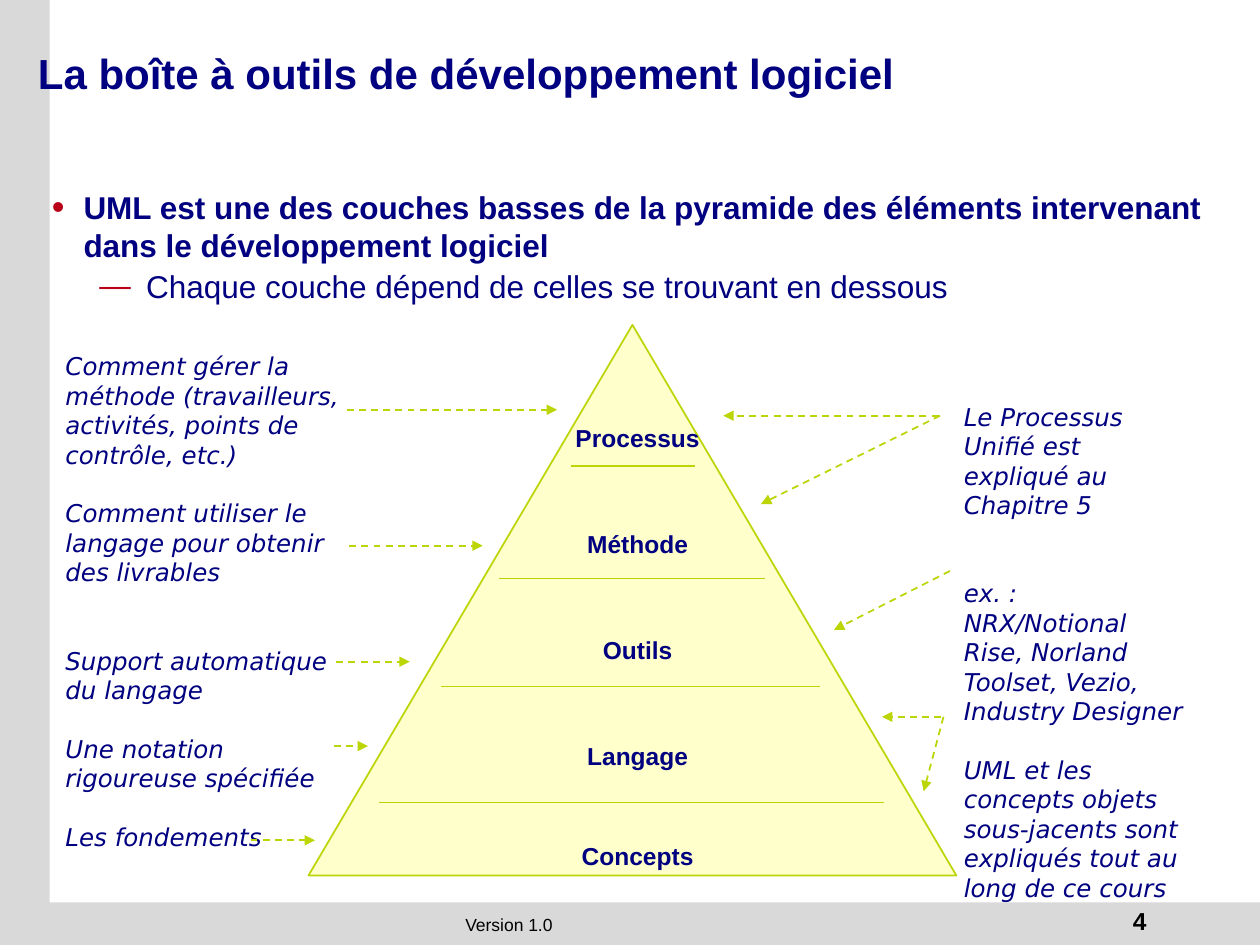
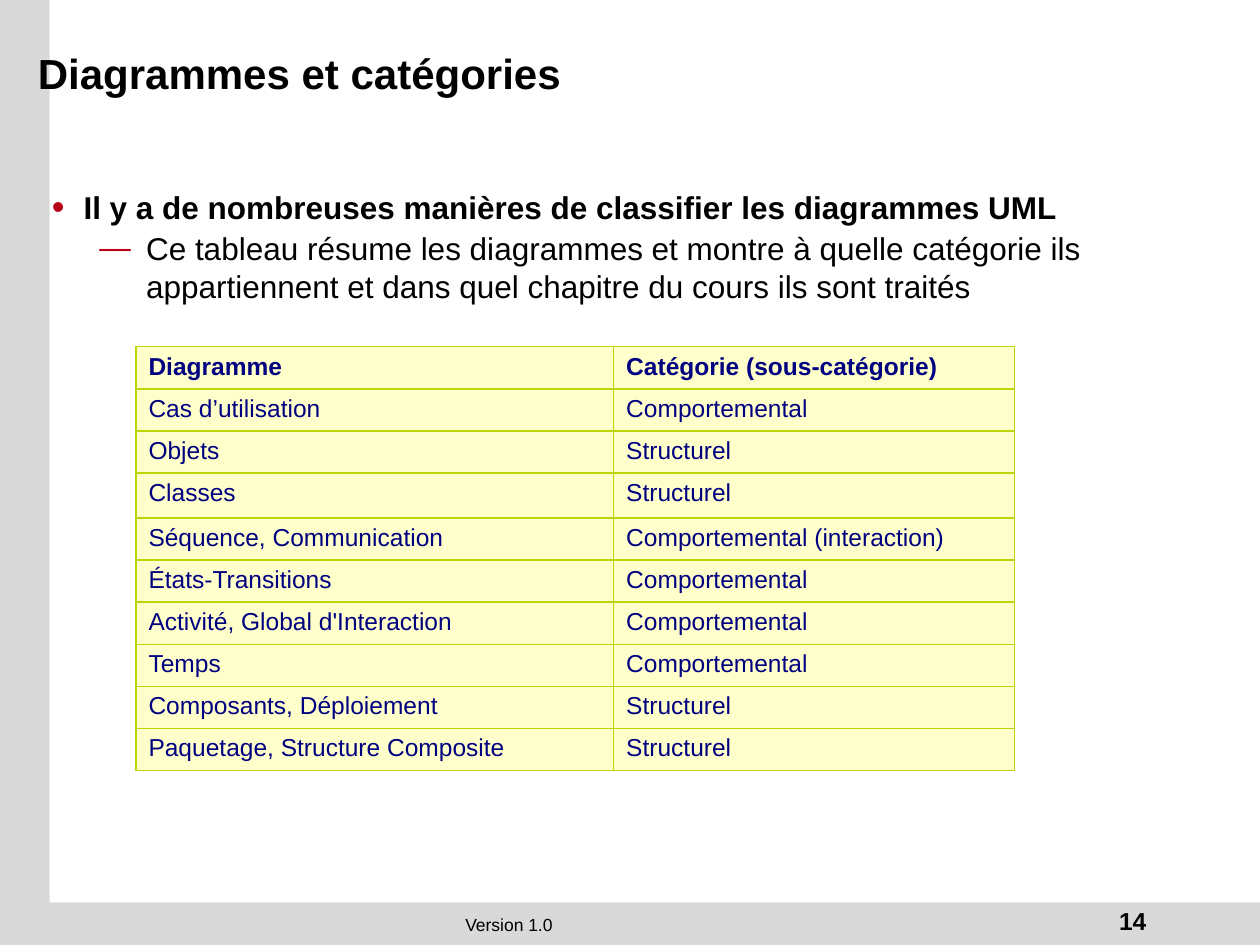
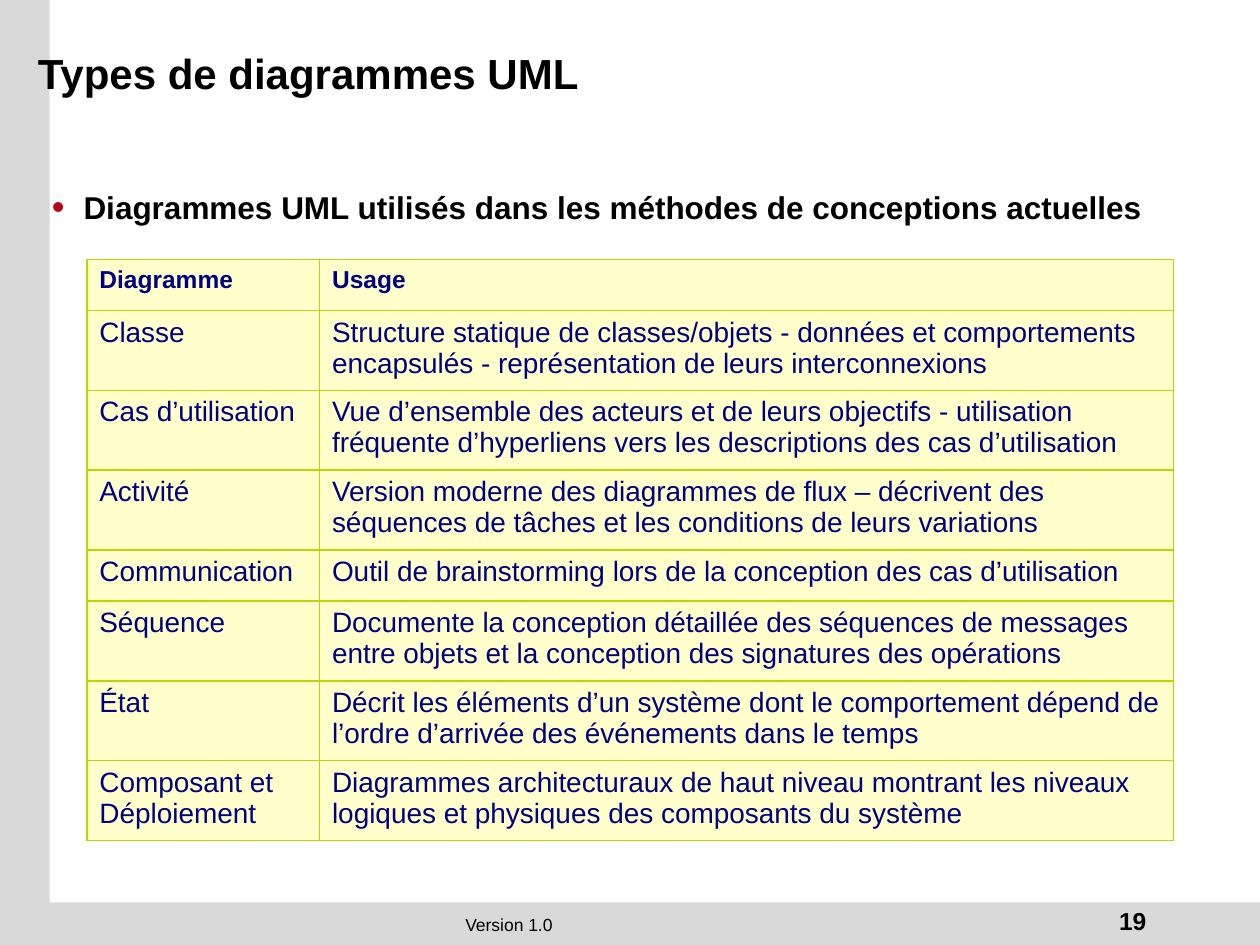
from dataclasses import dataclass
from typing import Sequence

from lxml import etree
from pptx import Presentation
from pptx.dml.color import RGBColor
from pptx.enum.dml import MSO_LINE
from pptx.enum.shapes import MSO_CONNECTOR, MSO_SHAPE
from pptx.enum.text import MSO_ANCHOR, MSO_AUTO_SIZE, PP_ALIGN
from pptx.oxml.ns import qn
from pptx.util import Cm, Pt

COLORS = {
    "band": "D9D9D9",
    "navy": "000080",
    "black": "000000",
    "bullet": "B90117",
    "cream": "FFFFCC",
    "lime": "BCD507",
}
SANS = "Arial"
NOTE_FONT = "DejaVu Sans"
SLIDE_W, SLIDE_H = 25.4, 19.05


# Descriptions of repeated elements; lengths are centimetres
@dataclass(frozen=True)
class Box:
    left: float
    top: float
    width: float
    height: float

    def emu(self) -> tuple:
        return Cm(self.left), Cm(self.top), Cm(self.width), Cm(self.height)


@dataclass(frozen=True)
class Segment:
    x1: float
    y1: float
    x2: float
    y2: float
    arrow: bool = False


@dataclass(frozen=True)
class Style:
    size: float
    color: str = "navy"
    font: str = SANS
    bold: bool = False
    italic: bool = False


@dataclass(frozen=True)
class Item:
    text: str
    gap: float = 0  # points before the paragraph


@dataclass(frozen=True)
class BulletLevel:
    char: str
    margin: float
    hanging: float
    gap: float
    scale: int
    bold: bool


LEVELS = (
    BulletLevel("•", 0.64, 0.64, 14, 115, True),
    BulletLevel("—", 1.9, 0.94, 2, 100, False),
)


# Text and shapes
def rgb(name: str) -> RGBColor:
    return RGBColor.from_string(COLORS[name])


def write(paragraph, text: str, style: Style) -> None:
    run = paragraph.add_run()
    run.text = text
    font = run.font
    font.name, font.size = style.font, Pt(style.size)
    font.bold, font.italic = style.bold, style.italic
    font.color.rgb = rgb(style.color)


def add_text(slide, box: Box, items: Sequence[Item], style: Style,
             align=PP_ALIGN.LEFT, spacing: float = 1.0):
    shape = slide.shapes.add_textbox(*box.emu())
    frame = shape.text_frame
    frame.word_wrap = True
    for i, item in enumerate(items):
        paragraph = frame.add_paragraph() if i else frame.paragraphs[0]
        paragraph.alignment = align
        paragraph.line_spacing = spacing
        paragraph.space_before = Pt(item.gap)
        write(paragraph, item.text, style)
    return shape


def add_filled(slide, kind, box: Box, fill: str, line: str = ""):
    shape = slide.shapes.add_shape(kind, *box.emu())
    shape.shadow.inherit = False
    shape.fill.solid()
    shape.fill.fore_color.rgb = rgb(fill)
    if line:
        shape.line.color.rgb = rgb(line)
        shape.line.width = Pt(1)
    else:
        shape.line.fill.background()
    return shape


def add_segment(slide, seg: Segment) -> None:
    connector = slide.shapes.add_connector(
        MSO_CONNECTOR.STRAIGHT, Cm(seg.x1), Cm(seg.y1), Cm(seg.x2), Cm(seg.y2))
    connector.line.color.rgb = rgb("lime")
    connector.line.width = Pt(1)
    properties = connector.element.spPr
    if seg.arrow:
        connector.line.dash_style = MSO_LINE.DASH
        etree.SubElement(properties.find(qn("a:ln")), qn("a:tailEnd"), type="triangle")
    etree.SubElement(properties, qn("a:effectLst"))


def set_bullet(paragraph, level: BulletLevel) -> None:
    paragraph.space_before = Pt(level.gap)
    props = paragraph._p.get_or_add_pPr()
    props.set("marL", str(Cm(level.margin)))
    props.set("indent", str(-Cm(level.hanging)))
    color = etree.SubElement(props, qn("a:buClr"))
    etree.SubElement(color, qn("a:srgbClr"), val=COLORS["bullet"])
    etree.SubElement(props, qn("a:buSzPct"), val=str(level.scale * 1000))
    etree.SubElement(props, qn("a:buFont"), typeface=SANS)
    etree.SubElement(props, qn("a:buChar"), char=level.char)


# Tables
def set_borders(cell) -> None:
    props = cell._tc.get_or_add_tcPr()
    for i, side in enumerate(("lnL", "lnR", "lnT", "lnB")):
        line = etree.Element(qn(f"a:{side}"), w=str(Pt(1)))
        fill = etree.SubElement(line, qn("a:solidFill"))
        etree.SubElement(fill, qn("a:srgbClr"), val=COLORS["lime"])
        props.insert(i, line)


def add_grid(slide, left: float, top: float, widths: Sequence[float],
             heights: Sequence[float], rows: Sequence[Sequence[str]],
             body_size: float) -> None:
    box = Box(left, top, sum(widths), sum(heights))
    table = slide.shapes.add_table(len(rows), len(widths), *box.emu()).table
    table.first_row = table.horz_banding = False
    for column, width in zip(table.columns, widths):
        column.width = Cm(width)
    for r, (row, height) in enumerate(zip(rows, heights)):
        table.rows[r].height = Cm(height)
        style = Style(body_size) if r else Style(14, bold=True)
        for c, text in enumerate(row):
            cell = table.cell(r, c)
            cell.fill.solid()
            cell.fill.fore_color.rgb = rgb("cream")
            set_borders(cell)
            write(cell.text_frame.paragraphs[0], text, style)


# Shared frame: bands and version go to the layout, the rest to each slide
def share_on_layout(layout, shapes: Sequence) -> None:
    tree = layout.element.cSld.spTree
    for i, shape in enumerate(shapes):
        shape.element.nvSpPr.cNvPr.set("id", str(101 + i))
        tree.insert(2 + i, shape.element)


def decorate_layout(slide, layout) -> None:
    share_on_layout(layout, [
        add_filled(slide, MSO_SHAPE.RECTANGLE, Box(0, 0, 1, SLIDE_H), "band"),
        add_filled(slide, MSO_SHAPE.RECTANGLE, Box(0, 18.19, SLIDE_W, 0.86), "band"),
        add_text(slide, Box(0.28, 18.31, 19.96, 0.69), [Item("Version 1.0")],
                 Style(10, "black"), PP_ALIGN.CENTER),
    ])


def place(shape, box: Box):
    shape.left, shape.top, shape.width, shape.height = box.emu()
    shape.text_frame.auto_size = MSO_AUTO_SIZE.NONE
    return shape.text_frame


def add_page(prs, number: int, title: str, bullets: Sequence[str],
             body_height: float, color: str = "black"):
    slide = prs.slides.add_slide(prs.slide_layouts[1])
    heading = place(slide.shapes.title, Box(0.51, 0.46, 21.64, 2.01))
    heading.vertical_anchor = MSO_ANCHOR.MIDDLE
    heading.paragraphs[0].alignment = PP_ALIGN.LEFT
    write(heading.paragraphs[0], title, Style(24, color, bold=True))

    body = place(slide.placeholders[1], Box(0.79, 3.66, 23.88, body_height))
    for i, (text, level) in enumerate(zip(bullets, LEVELS)):
        paragraph = body.add_paragraph() if i else body.paragraphs[0]
        paragraph.level = i
        set_bullet(paragraph, level)
        write(paragraph, text, Style(18, color, bold=level.bold))

    add_text(slide, Box(19.35, 18.14, 4.01, 0.84), [Item(str(number))],
             Style(14, "black", bold=True), PP_ALIGN.RIGHT)
    return slide


prs = Presentation()
prs.slide_width, prs.slide_height = Cm(SLIDE_W), Cm(SLIDE_H)

# Slide 1: pyramid of layers
pyramid = add_page(
    prs, 4, "La boîte à outils de développement logiciel",
    ["UML est une des couches basses de la pyramide des éléments intervenant "
     "dans le développement logiciel",
     "Chaque couche dépend de celles se trouvant en dessous"], 2.62, "navy")
decorate_layout(pyramid, prs.slide_layouts[1])
add_filled(pyramid, MSO_SHAPE.ISOSCELES_TRIANGLE, Box(6.22, 6.55, 13.06, 11.1),
           "cream", "lime")

NOTE = Style(14, font=NOTE_FONT, italic=True)
NOTE_LINE = 16.8
add_text(pyramid, Box(1.07, 6.96, 6.12, 10.31), [
    Item("Comment gérer la méthode (travailleurs, activités, points de contrôle, etc.)"),
    Item("Comment utiliser le langage pour obtenir des livrables", NOTE_LINE),
    Item("Support automatique du langage", 2 * NOTE_LINE),
    Item("Une notation rigoureuse spécifiée", NOTE_LINE),
    Item("Les fondements", NOTE_LINE),
], NOTE)
add_text(pyramid, Box(19.18, 7.98, 4.95, 9.27), [
    Item("Le Processus Unifié est expliqué au Chapitre 5"),
    Item("ex. : NRX/Notional Rise, Norland Toolset, Vezio, Industry Designer",
         2 * NOTE_LINE),
    Item("UML et les concepts objets sous-jacents sont expliqués tout au long "
         "de ce cours", NOTE_LINE),
], NOTE)

LAYER_GAP = 45.5
add_text(pyramid, Box(6.99, 8.46, 11.73, 9.22), [
    Item("Processus"),
    Item("Méthode", LAYER_GAP),
    Item("Outils", LAYER_GAP),
    Item("Langage", LAYER_GAP),
    Item("Concepts", LAYER_GAP - 3.5),
], Style(14, bold=True), PP_ALIGN.CENTER, 0.9)

# Layer dividers: height, left end, right end
for y, left, right in [(9.4, 11.51, 14.02), (11.66, 10.06, 15.42),
                       (13.84, 8.89, 16.54), (16.18, 7.65, 17.83)]:
    add_segment(pyramid, Segment(left, y, right, y))

# Arrows from the left notes: height, start, end
for y, start, end in [(8.26, 6.99, 11.23), (11, 7.04, 9.73), (13.34, 6.78, 8.26),
                      (15.04, 6.73, 7.42), (16.94, 5.05, 6.35)]:
    add_segment(pyramid, Segment(start, y, end, y, arrow=True))

# Arrows from the right notes
for ends in [(18.92, 8.38, 14.58, 8.38), (18.95, 8.38, 15.34, 10.16),
             (19.15, 11.51, 16.81, 12.7), (18.97, 14.45, 17.78, 14.45),
             (19.02, 14.45, 18.62, 15.95)]:
    add_segment(pyramid, Segment(*ends, arrow=True))

# Slide 2: diagrams and categories
categories = add_page(
    prs, 14, "Diagrammes et catégories",
    ["Il y a de nombreuses manières de classifier les diagrammes UML",
     "Ce tableau résume les diagrammes et montre à quelle catégorie ils "
     "appartiennent et dans quel chapitre du cours ils sont traités"], 3.38)
BEHAVIOUR, STRUCTURE = "Comportemental", "Structurel"
category_rows = [
    ("Diagramme", "Catégorie (sous-catégorie)"),
    ("Cas d’utilisation", BEHAVIOUR),
    ("Objets", STRUCTURE),
    ("Classes", STRUCTURE),
    ("Séquence, Communication", f"{BEHAVIOUR} (interaction)"),
    ("États-Transitions", BEHAVIOUR),
    ("Activité, Global d'Interaction", BEHAVIOUR),
    ("Temps", BEHAVIOUR),
    ("Composants, Déploiement", STRUCTURE),
    ("Paquetage, Structure Composite", STRUCTURE),
]
category_heights = [0.91 if name == "Classes" else 0.81 for name, _ in category_rows]
add_grid(categories, 2.74, 6.99, (9.63, 8.08), category_heights, category_rows, 14)

# Slide 3: usage of each diagram type
usages = add_page(
    prs, 19, "Types de diagrammes UML",
    ["Diagrammes UML utilisés dans les méthodes de conceptions actuelles"], 1.02)
usage_rows = [
    ("Diagramme", "Usage"),
    ("Classe", "Structure statique de classes/objets - données et comportements "
               "encapsulés - représentation de leurs interconnexions"),
    ("Cas d’utilisation", "Vue d’ensemble des acteurs et de leurs objectifs - "
                          "utilisation fréquente d’hyperliens vers les descriptions "
                          "des cas d’utilisation"),
    ("Activité", "Version moderne des diagrammes de flux – décrivent des séquences "
                 "de tâches et les conditions de leurs variations"),
    ("Communication", "Outil de brainstorming lors de la conception des cas "
                      "d’utilisation"),
    ("Séquence", "Documente la conception détaillée des séquences de messages entre "
                 "objets et la conception des signatures des opérations"),
    ("État", "Décrit les éléments d’un système dont le comportement dépend de "
             "l’ordre d’arrivée des événements dans le temps"),
    ("Composant et Déploiement", "Diagrammes architecturaux de haut niveau montrant "
                                 "les niveaux logiques et physiques des composants "
                                 "du système"),
]
ONE_LINE_ROWS = ("Diagramme", "Communication")
usage_heights = [1.03 if name in ONE_LINE_ROWS else 1.51 for name, _ in usage_rows]
add_grid(usages, 1.75, 5.23, (4.69, 17.22), usage_heights, usage_rows, 16)

prs.save("out.pptx")
